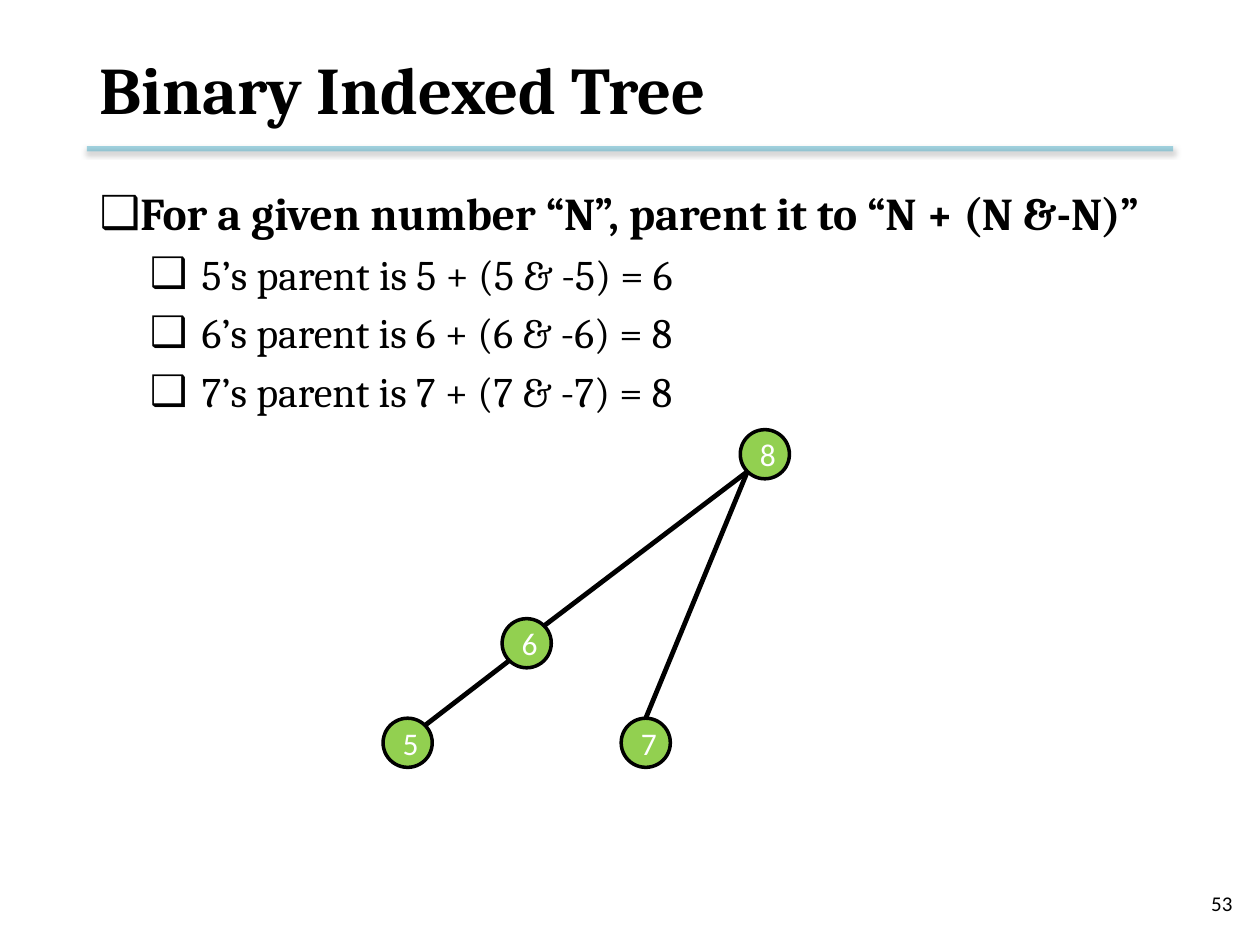
from dataclasses import dataclass
from math import cos, radians, sin

from lxml import etree
from pptx import Presentation
from pptx.dml.color import RGBColor
from pptx.enum.shapes import MSO_CONNECTOR, MSO_SHAPE
from pptx.enum.text import MSO_ANCHOR, MSO_AUTO_SIZE, PP_ALIGN
from pptx.oxml.ns import qn
from pptx.util import Inches, Pt

STRAIGHT = MSO_CONNECTOR.STRAIGHT
OVAL = MSO_SHAPE.OVAL
MIDDLE, TOP = MSO_ANCHOR.MIDDLE, MSO_ANCHOR.TOP
LEFT, CENTER, RIGHT = PP_ALIGN.LEFT, PP_ALIGN.CENTER, PP_ALIGN.RIGHT
NO_AUTOFIT = MSO_AUTO_SIZE.NONE


@dataclass(frozen=True)
class Theme:
    heading_font: str = "Cambria"
    label_font: str = "Calibri"
    ink: RGBColor = RGBColor(0, 0, 0)
    white: RGBColor = RGBColor(255, 255, 255)
    node: RGBColor = RGBColor(0x92, 0xD0, 0x50)
    rule: RGBColor = RGBColor(0x4B, 0xAC, 0xC6)
    title_size: float = 38
    rule_size: float = 26
    example_size: float = 24
    node_size: float = 18
    number_size: float = 12


THEME = Theme()
MARGIN, CONTENT_WIDTH = 0.69, 8.62

# Tree grid: equal columns, one top edge per level
NODE_DIAMETER = 0.39
FIRST_COLUMN, COLUMN_STEP = 3.04, 0.945
LEVEL_TOPS = [5.7, 4.91, 3.41]
NODES = {5: (0, 0), 6: (1, 1), 7: (2, 0), 8: (3, 2)}  # column, level
# Parent, child and the angle at which the edge meets the child
EDGES = [(6, 5, 45), (8, 6, 45), (8, 7, 90)]
PARENT_ANGLE = 225


def place(shape, left, top, width, height):
    shape.left, shape.top = Inches(left), Inches(top)
    shape.width, shape.height = Inches(width), Inches(height)


def style(paragraph, font, size, color, align=LEFT, bold=False):
    paragraph.alignment = align
    for run in paragraph.runs:
        run.font.name, run.font.size = font, Pt(size)
        run.font.color.rgb, run.font.bold = color, bold


def set_bullet(paragraph, margin, indent, character="❑"):
    properties = paragraph._p.get_or_add_pPr()
    properties.set("marL", str(Inches(margin)))
    properties.set("indent", str(Inches(indent)))
    etree.SubElement(properties, qn("a:buChar")).set("char", character)


def add_line(slide, start, end, color, width):
    line = slide.shapes.add_connector(
        STRAIGHT, *(Inches(value) for value in (*start, *end)))
    line.line.color.rgb, line.line.width = color, Pt(width)
    effects = etree.SubElement(line._element.spPr, qn("a:effectLst"))
    return line, effects


def add_title_rule(slide):
    y = 1.18
    rule, effects = add_line(
        slide, (MARGIN, y), (MARGIN + CONTENT_WIDTH, y), THEME.rule, 3)
    # Half-transparent line with a soft shadow below it
    line_color = next(rule._element.spPr.iter(qn("a:srgbClr")))
    etree.SubElement(line_color, qn("a:alpha")).set("val", "50000")
    shadow = etree.SubElement(
        effects, qn("a:outerShdw"), blurRad=str(Pt(3.1)), dist=str(Pt(1.6)),
        dir="5400000", rotWithShape="0")
    shadow_color = etree.SubElement(
        shadow, qn("a:srgbClr"), val=str(THEME.ink))
    etree.SubElement(shadow_color, qn("a:alpha")).set("val", "38000")


def add_page_number(slide, number):
    box = slide.shapes.add_textbox(0, 0, 0, 0)
    place(box, 7.55, 6.97, 2.33, 0.4)
    frame = box.text_frame
    frame.word_wrap, frame.vertical_anchor = True, MIDDLE
    frame.text = number
    style(frame.paragraphs[0], THEME.label_font, THEME.number_size,
          THEME.ink, RIGHT)


def fill_title(slide, text):
    title = slide.shapes.title
    place(title, MARGIN, 0.17, CONTENT_WIDTH, 1.06)
    frame = title.text_frame
    frame.text = text
    frame.vertical_anchor, frame.auto_size = MIDDLE, NO_AUTOFIT
    style(frame.paragraphs[0], THEME.heading_font, THEME.title_size,
          THEME.ink, bold=True)


def fill_body(slide, statement, examples):
    body = slide.placeholders[1]
    place(body, MARGIN, 1.42, CONTENT_WIDTH, 5.1)
    frame = body.text_frame
    frame.text = "\n".join([statement, *examples])
    frame.vertical_anchor, frame.auto_size = TOP, NO_AUTOFIT
    first, *rest = frame.paragraphs
    first.space_before = Pt(0)
    set_bullet(first, 0.25, -0.45)
    style(first, THEME.heading_font, THEME.rule_size, THEME.ink, bold=True)
    for example in rest:
        example.level = 1
        set_bullet(example, 0.81, -0.41)
        style(example, THEME.heading_font, THEME.example_size, THEME.ink)


def node_corner(value):
    column, level = NODES[value]
    return FIRST_COLUMN + column * COLUMN_STEP, LEVEL_TOPS[level]


def rim_point(value, angle):
    left, top = node_corner(value)
    radius = NODE_DIAMETER / 2
    return (left + radius * (1 + cos(radians(angle))),
            top + radius * (1 - sin(radians(angle))))


def add_node(slide, value):
    node = slide.shapes.add_shape(OVAL, 0, 0, 0, 0)
    place(node, *node_corner(value), NODE_DIAMETER, NODE_DIAMETER)
    node.shadow.inherit = False
    node.fill.solid()
    node.fill.fore_color.rgb = THEME.node
    node.line.color.rgb, node.line.width = THEME.ink, Pt(2)
    frame = node.text_frame
    frame.text = str(value)
    frame.vertical_anchor = MIDDLE
    style(frame.paragraphs[0], THEME.label_font, THEME.node_size,
          THEME.white, CENTER)


def add_tree(slide):
    for value in NODES:
        add_node(slide, value)
    for parent, child, child_angle in EDGES:
        add_line(slide, rim_point(parent, PARENT_ANGLE),
                 rim_point(child, child_angle), THEME.ink, 2.75)


def main():
    deck = Presentation()
    deck.slide_width, deck.slide_height = Inches(10), Inches(7.5)
    slide = deck.slides.add_slide(deck.slide_layouts[1])

    # Heading and page furniture
    add_title_rule(slide)
    add_page_number(slide, "53")
    fill_title(slide, "Binary Indexed Tree")

    # Parent rule with worked examples
    fill_body(slide, "For a given number “N”, parent it to “N + (N &-N)”", [
        f"{child}’s parent is {child} + ({child} & -{child}) = {parent}"
        for child, parent in [(5, 6), (6, 8), (7, 8)]])

    add_tree(slide)
    deck.save("out.pptx")


if __name__ == "__main__":
    main()
